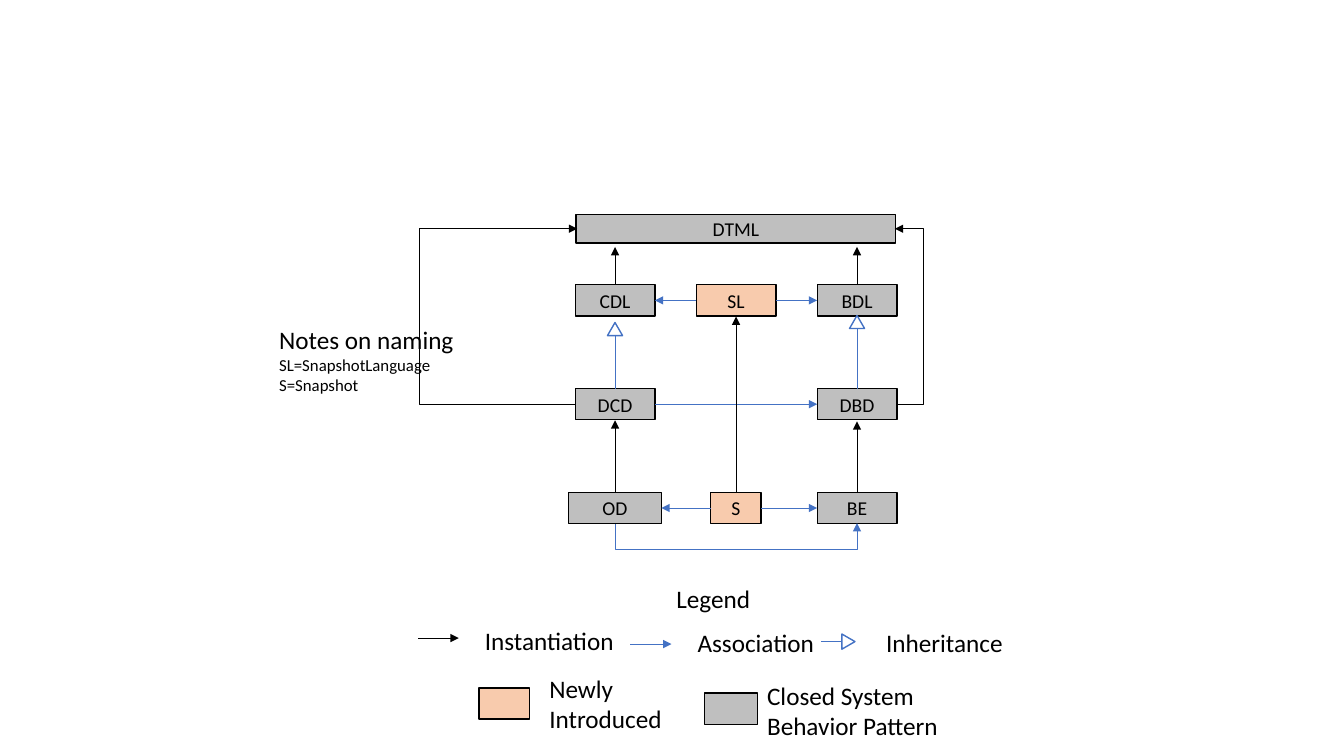
import pptx
import pptx.util
import pptx.dml.color
import pptx.enum.shapes
import pptx.enum.text
import lxml.etree

HEX = dict(gray="BFBFBF", peach="F8CBAD", black="000000", blue="4472C4", white="FFFFFF")
KIND = pptx.enum.shapes.MSO_SHAPE
LINK = pptx.enum.shapes.MSO_CONNECTOR
ALIGN = pptx.enum.text.PP_ALIGN
COLS = [6.1, 7.3, 8.5]
ROWS = [2.27, 2.98, 4.01, 5.04]
TALL = 0.31

NODES = {
    "DTML": (1, 0, 3.17, 0.28, "gray"),
    "CDL": (0, 1, 0.79, TALL, "gray"),
    "SL": (1, 1, 0.79, TALL, "peach"),
    "BDL": (2, 1, 0.79, TALL, "gray"),
    "DCD": (0, 2, 0.79, TALL, "gray"),
    "DBD": (2, 2, 0.79, TALL, "gray"),
    "OD": (0, 3, 0.92, TALL, "gray"),
    "S": (1, 3, 0.5, TALL, "peach"),
    "BE": (2, 3, 0.79, TALL, "gray"),
}
ACROSS = [("SL", "CDL"), ("SL", "BDL"), ("DCD", "DBD"), ("S", "OD"), ("S", "BE")]
UPWARD = [("CDL", 2.45), ("BDL", 2.45), ("OD", 4.17), ("BE", 4.18), ("S", 3.14)]
HEIRS = [("DCD", 3.2), ("DBD", 3.13)]
SIDES = [("DCD", -1, 4.17), ("DBD", 1, 9.16)]
KEYS = [(4.15, 4.55, 6.33, "black"), (6.25, 6.66, 6.39, "blue")]
PATCHES = [(5, 6.98, 0.5, "peach"), (7.25, 7.03, 0.53, "gray")]
NOTES = [
    (2.67, 3.17, 3.18, 0.81, ["Notes on naming", "SL=SnapshotLanguage", "S=Snapshot"], [18, 12, 12]),
    (6.61, 5.74, 1.22, 0.4, ["Legend"], [18]),
    (4.71, 6.15, 1.53, 0.4, ["Instantiation"], [18]),
    (6.82, 6.17, 1.53, 0.4, ["Association"], [18]),
    (8.69, 6.17, 1.53, 0.4, ["Inheritance"], [18]),
    (5.35, 6.63, 1.8, 0.71, ["Newly Introduced"], [18]),
    (7.51, 6.7, 2.73, 0.71, ["Closed System", "Behavior Pattern"], [18, 18]),
]

deck = pptx.Presentation()
inch = pptx.util.Inches
deck.slide_width, deck.slide_height = inch(13.33), inch(7.5)
slide = deck.slides.add_slide(deck.slide_layouts[6])


def tint(name):
    return pptx.dml.color.RGBColor.from_string(HEX[name])


def write(frame, lines, sizes=(14,), align=ALIGN.LEFT, color="black"):
    frame.word_wrap = True
    frame.text = "\n".join(lines)
    for para, size in zip(frame.paragraphs, sizes):
        para.alignment = align
        font = para.runs[0].font
        font.name, font.size = "Calibri", pptx.util.Pt(size)
        font.color.rgb = tint(color)


def shape(x, y, wide, high, fill, edge="black", kind=KIND.RECTANGLE):
    part = slide.shapes.add_shape(
        kind, inch(x - wide / 2), inch(y - high / 2), inch(wide), inch(high))
    part.shadow.inherit = False
    part.fill.solid()
    part.fill.fore_color.rgb = tint(fill)
    part.line.color.rgb = tint(edge)
    part.line.width = pptx.util.Pt(1)
    return part


def link(x1, y1, x2, y2, color, head=True, bend=None):
    kind = LINK.STRAIGHT if bend is None else LINK.ELBOW
    line = slide.shapes.add_connector(kind, inch(x1), inch(y1), inch(x2), inch(y2))
    line.line.color.rgb = tint(color)
    line.line.width = pptx.util.Pt(0.5)
    props = line._element.spPr
    space = "{" + props.nsmap["a"] + "}"
    if head:
        lxml.etree.SubElement(line.line._get_or_add_ln(), space + "tailEnd", type="triangle")
    lxml.etree.SubElement(props, space + "effectLst")
    if bend is not None:
        ratio = round((bend - x1) / (x2 - x1) * 100000)
        guides = props.find(space + "prstGeom").find(space + "avLst")
        lxml.etree.SubElement(guides, space + "gd", name="adj1", fmla=f"val {ratio}")
    return line


def spot(name):
    col, row, wide, high, fill = NODES[name]
    return COLS[col], ROWS[row], wide / 2, high / 2


for name, (col, row, wide, high, fill) in NODES.items():
    box = shape(COLS[col], ROWS[row], wide, high, fill)
    write(box.text_frame, [name], align=ALIGN.CENTER)
    box.text_frame.vertical_anchor = pptx.enum.text.MSO_ANCHOR.MIDDLE

for start, end in ACROSS:
    x1, y, half1, _ = spot(start)
    x2, _, half2, _ = spot(end)
    way = 1 if x2 > x1 else -1
    link(x1 + way * half1, y, x2 - way * half2, y, "blue")

for name, top in UPWARD:
    x, y, _, half = spot(name)
    link(x, y - half, x, top, "black")

for name, top in HEIRS:
    x, y, _, half = spot(name)
    link(x, y - half, x, top + 0.13, "blue", head=False)
    shape(x, top + 0.065, 0.15, 0.13, "white", "blue", KIND.ISOSCELES_TRIANGLE)

for name, way, bend in SIDES:
    x, y, half, _ = spot(name)
    mid, top, reach, _ = spot("DTML")
    link(x + way * half, y, mid + way * (reach - 0.01), top, "black", bend=bend)

x1, y, _, half = spot("OD")
x2 = spot("BE")[0]
mid, base, span, step, drop = (x1 + x2) / 2, y + half, (x2 - x1) / 2, 0.01, 0.25
under = link(mid + step / 2, base + span, mid - step / 2, base - span, "blue",
             bend=mid + step / 2 + drop)
under._element.spPr.xfrm.set("rot", "5400000")

for x1, x2, y, color in KEYS:
    link(x1, y, x2, y, color)
link(8.35, 6.36, 8.14, 6.36, "blue", head=False)
shape(8.415, 6.365, 0.15, 0.13, "white", "blue", KIND.ISOSCELES_TRIANGLE).rotation = 90
for x, y, wide, fill in PATCHES:
    shape(x, y, wide, TALL, fill)

for x, y, wide, high, lines, sizes in NOTES:
    box = slide.shapes.add_textbox(inch(x), inch(y), inch(wide), inch(high))
    write(box.text_frame, lines, sizes)

deck.save("out.pptx")
